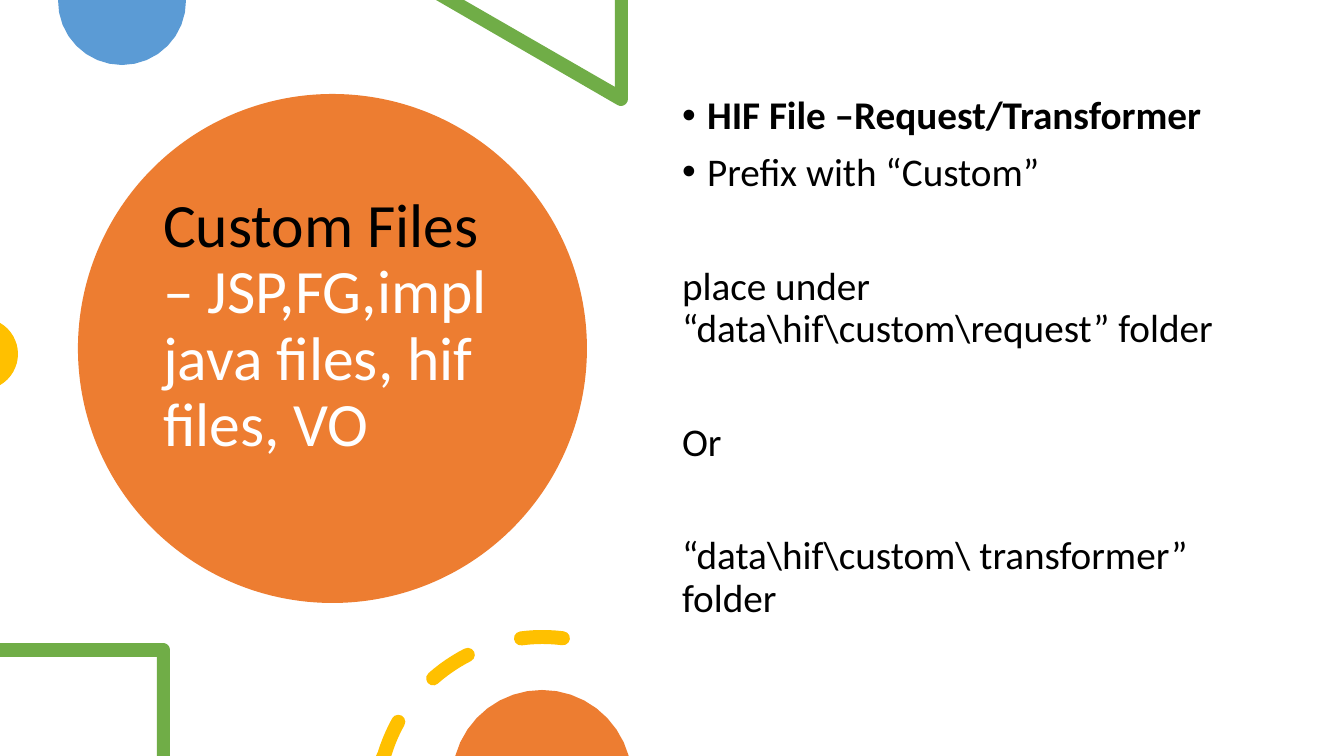
from math import cos, radians, sin

from lxml import etree
from pptx import Presentation
from pptx.dml.color import RGBColor
from pptx.enum.shapes import MSO_SHAPE
from pptx.enum.text import MSO_ANCHOR, MSO_AUTO_SIZE, PP_ALIGN
from pptx.oxml.ns import qn
from pptx.util import Pt

ELLIPSE = MSO_SHAPE.OVAL
TOP, MIDDLE = MSO_ANCHOR.TOP, MSO_ANCHOR.MIDDLE
LEFT = PP_ALIGN.LEFT
NO_FIT = MSO_AUTO_SIZE.NONE

SCALE = 914400 / 100.8  # EMU in one pixel
WIDTH, HEIGHT = 1344, 756
COLORS = {
    "orange": "ED7D31",
    "blue": "5B9BD5",
    "green": "70AD47",
    "yellow": "FFC000",
    "black": "000000",
    "white": "FFFFFF",
}


def emu(pixels):
    return round(pixels * SCALE)


def rgb(name):
    return RGBColor.from_string(COLORS[name])


def arc(x, y, radius, start, end, steps=6):
    """Points along an arc; degrees run clockwise from the right."""
    angles = [radians(start + (end - start) * i / steps) for i in range(steps + 1)]
    return [(x + radius * cos(a), y + radius * sin(a)) for a in angles]


def dash(x, y, radius, start, end, half=7):
    """Outline of a thick arc with round ends, held above the bottom edge."""
    first, last = arc(x, y, radius, start, end, steps=1)
    points = (
        arc(x, y, radius + half, start, end)
        + arc(*last, half, end, end + 180)
        + arc(x, y, radius - half, end, start)
        + arc(*first, half, start + 180, start + 360)
    )
    return [(px, min(py, HEIGHT)) for px, py in points]


def add_span(para, text, size=28, color="black", bold=False, font="Calibri"):
    span = para.add_run()
    span.text = text
    span.font.name = font
    span.font.size = Pt(size)
    span.font.bold = bold
    span.font.color.rgb = rgb(color)


class Slide:
    def __init__(self, deck, line_spacing=0.9):
        self.page = deck.slides.add_slide(deck.slide_layouts[1])
        self.shapes = self.page.shapes
        self.line_spacing = line_spacing

    def paint(self, shape, color):
        shape.shadow.inherit = False
        shape.fill.solid()
        shape.fill.fore_color.rgb = rgb(color)
        shape.line.fill.background()

    def ellipse(self, left, top, width, height, color):
        box = map(emu, (left, top, width, height))
        self.paint(self.shapes.add_shape(ELLIPSE, *box), color)

    def outline(self, points, color):
        corners = [(emu(x), emu(y)) for x, y in points]
        builder = self.shapes.build_freeform(*corners[0], scale=1.0)
        builder.add_line_segments(corners[1:], close=True)
        self.paint(builder.convert_to_shape(), color)

    def place(self, holder, left, top, width, height, anchor):
        """Move a placeholder, bring it to the front and return its text frame."""
        holder.left, holder.top = emu(left), emu(top)
        holder.width, holder.height = emu(width), emu(height)
        tree = holder.element.getparent()
        tree.append(holder.element)
        frame = holder.text_frame
        frame.word_wrap = True
        frame.auto_size = NO_FIT
        frame.vertical_anchor = anchor
        return frame

    def title(self, spans, *box):
        para = self.place(self.shapes.title, *box, MIDDLE).paragraphs[0]
        para.alignment = LEFT
        para.line_spacing = self.line_spacing
        for text, color in spans:
            add_span(para, text, size=44, color=color)

    def body(self, items, *box):
        frame = self.place(self.page.placeholders[1], *box, TOP)
        for i, (text, bullet, bold, before) in enumerate(items):
            para = frame.add_paragraph() if i else frame.paragraphs[0]
            para.line_spacing = self.line_spacing
            para.space_before = Pt(before)
            indent = emu(25) if bullet else 0
            props = para._p.get_or_add_pPr()
            props.set("marL", str(indent))
            props.set("indent", str(-indent))
            if bullet:
                etree.SubElement(props, qn("a:buFont")).set("typeface", "Arial")
                etree.SubElement(props, qn("a:buChar")).set("char", "•")
            else:
                etree.SubElement(props, qn("a:buNone"))
            add_span(para, text, bold=bold)


deck = Presentation()
deck.slide_width, deck.slide_height = emu(WIDTH), emu(HEIGHT)
slide = Slide(deck)

# Large title circle
slide.ellipse(78, 94, 509, 509, "orange")

# Discs cut by the slide edges: centre, radius, visible angles
for x, y, radius, start, end, color in (
    (122, 1, 64, -1, 181, "blue"),
    (-18, 354, 36, -60, 60, "yellow"),
    (542, 780, 90, 195.5, 344.5, "orange"),
):
    slide.outline(arc(x, y, radius, start, end, steps=16), color)

# Green triangle and square frames with one round corner
triangle = [(615, 0), (615, 87), (464, 0), (436, 0)] + arc(621, 99, 7, 120, 0) + [(628, 0)]
square = [(0, 643)] + arc(163, 650, 7, -90, 0) + [(170, 756), (157, 756), (157, 657), (0, 657)]
for frame_points in (triangle, square):
    slide.outline(frame_points, "green")

# Dashed yellow ring
DASH_ANGLE, DASH_PITCH = 14.6, 34
for index in range(3):
    begin = 194.5 + index * DASH_PITCH
    slide.outline(dash(542.5, 802, 165, begin, begin + DASH_ANGLE), "yellow")

# Title
slide.title(
    [("Custom Files", "black"), (" – JSP,FG,impl java files, hif files, VO", "white")],
    153, 136, 357, 382,
)

# Instructions: text, bullet, bold, space before in points
NEAR, FAR = 10, 51
slide.body(
    [
        ("HIF File –Request/Transformer", True, True, NEAR),
        ("Prefix with “Custom”", True, False, NEAR),
        ("place under “data\\hif\\custom\\request” folder", False, False, FAR),
        ("Or", False, False, FAR),
        ("“data\\hif\\custom\\ transformer” folder", False, False, FAR),
    ],
    672, 91, 580, 539,
)

deck.save("out.pptx")
